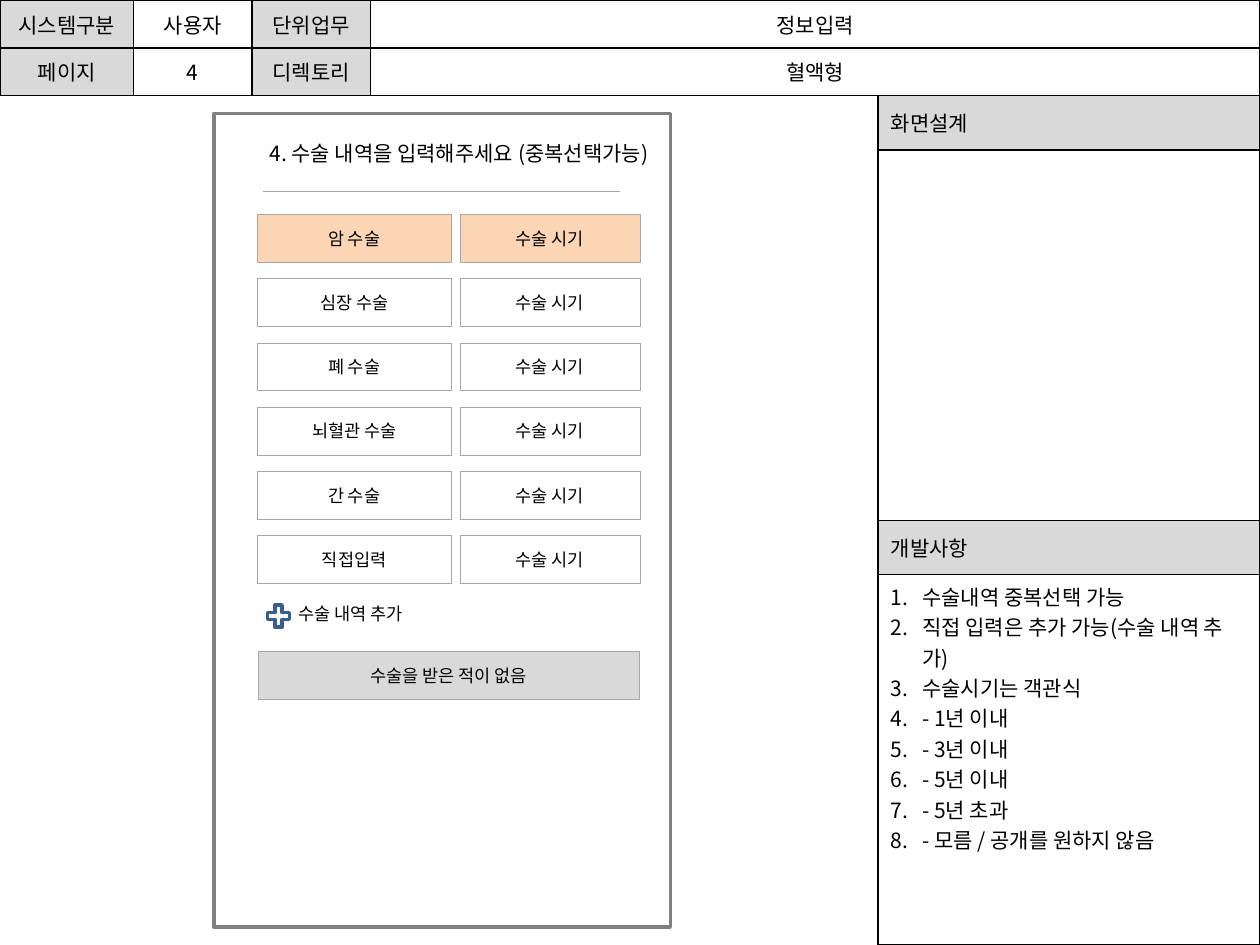
from lxml import etree
from pptx import Presentation
from pptx.dml.color import RGBColor
from pptx.enum import shapes, text
from pptx.oxml import ns
from pptx.util import Inches, Pt

FONT = "Noto Sans CJK KR"
BLACK = RGBColor(0x00, 0x00, 0x00)
WHITE = RGBColor(0xFF, 0xFF, 0xFF)
LABEL_GRAY = RGBColor(0xD9, 0xD9, 0xD9)
LINE_GRAY = RGBColor(0xA6, 0xA6, 0xA6)
FRAME_GRAY = RGBColor(0x80, 0x80, 0x80)
SELECTED = RGBColor(0xFC, 0xD5, 0xB5)
PLUS_BLUE = RGBColor(0x3A, 0x5F, 0x8C)
CENTER = text.PP_ALIGN.CENTER
MIDDLE = text.MSO_ANCHOR.MIDDLE

HEADER = [
    ["시스템구분", "사용자", "단위업무", "정보입력"],
    ["페이지", "4", "디렉토리", "혈액형"],
]
HEADER_COLUMNS = [1.06, 0.94, 0.94, 7.06]
HEADER_ROWS = [0.38, 0.38]

DESIGN_LABEL = "화면설계"
DEV_LABEL = "개발사항"
DEV_NOTES = [
    "수술내역 중복선택 가능",
    "직접 입력은 추가 가능(수술 내역 추가)",
    "수술시기는 객관식",
    "- 1년 이내",
    "- 3년 이내",
    "- 5년 이내",
    "- 5년 초과",
    "- 모름 / 공개를 원하지 않음",
]
SIDE_ROWS = [0.43, 2.94, 0.43, 2.94]

QUESTION = "4. 수술 내역을 입력해주세요 (중복선택가능)"
SURGERIES = ["암 수술", "심장 수술", "폐 수술", "뇌혈관 수술", "간 수술", "직접입력"]
SELECTED_SURGERY = "암 수술"
TIMING = "수술 시기"
ADD_MORE = "수술 내역 추가"
NO_SURGERY = "수술을 받은 적이 없음"

BUTTON_TOP, BUTTON_STEP, BUTTON_HEIGHT = 1.7, 0.51, 0.38


def add_text(paragraph, words, size, align=None):
    paragraph.alignment = align
    run = paragraph.add_run()
    run.text = words
    run.font.size = Pt(size)
    run.font.name = FONT
    run.font.color.rgb = BLACK
    east_asian = etree.SubElement(run.font._element, ns.qn("a:ea"))
    east_asian.set("typeface", FONT)


def number(paragraph):
    """Make the paragraph an item of an automatically numbered list."""
    properties = paragraph._p.get_or_add_pPr()
    properties.set("marL", str(Inches(0.25)))
    properties.set("indent", str(Inches(-0.25)))
    etree.SubElement(properties, ns.qn("a:buFont")).set("typeface", FONT)
    etree.SubElement(properties, ns.qn("a:buAutoNum")).set("type", "arabicPeriod")


def format_cell(cell, is_label):
    """Draw black borders, then fill label cells with gray."""
    properties = cell._tc.get_or_add_tcPr()
    for side in ("lnL", "lnR", "lnT", "lnB"):
        border = etree.SubElement(properties, ns.qn(f"a:{side}"), w=str(Pt(1)))
        solid = etree.SubElement(border, ns.qn("a:solidFill"))
        etree.SubElement(solid, ns.qn("a:srgbClr")).set("val", str(BLACK))
    if is_label:
        cell.fill.solid()
        cell.fill.fore_color.rgb = LABEL_GRAY
    else:
        cell.fill.background()


def add_grid(slide, left, top, columns, rows):
    grid = slide.shapes.add_table(
        len(rows), len(columns), Inches(left), Inches(top),
        Inches(sum(columns)), Inches(sum(rows))).table
    grid.first_row = grid.horz_banding = False
    for column, width in zip(grid.columns, columns):
        column.width = Inches(width)
    for row, height in zip(grid.rows, rows):
        row.height = Inches(height)
    return grid


def add_box(slide, left, top, width, height, fill, line, weight,
            words=None, kind=shapes.MSO_SHAPE.RECTANGLE):
    box = slide.shapes.add_shape(
        kind, Inches(left), Inches(top), Inches(width), Inches(height))
    box.shadow.inherit = False
    box.fill.solid()
    box.fill.fore_color.rgb = fill
    box.line.color.rgb = line
    box.line.width = Pt(weight)
    if words:
        box.text_frame.vertical_anchor = MIDDLE
        add_text(box.text_frame.paragraphs[0], words, 10, CENTER)


def add_button(slide, left, top, width, words, fill=WHITE):
    add_box(slide, left, top, width, BUTTON_HEIGHT, fill, LINE_GRAY, 0.25, words)


def add_caption(slide, left, top, width, height, words, size):
    frame = slide.shapes.add_textbox(
        Inches(left), Inches(top), Inches(width), Inches(height)).text_frame
    frame.word_wrap = False
    frame.auto_size = text.MSO_AUTO_SIZE.SHAPE_TO_FIT_TEXT
    add_text(frame.paragraphs[0], words, size)


def add_header(slide):
    grid = add_grid(slide, 0, 0, HEADER_COLUMNS, HEADER_ROWS)
    for r, row in enumerate(HEADER):
        for c, words in enumerate(row):
            cell = grid.cell(r, c)
            format_cell(cell, is_label=c % 2 == 0)
            cell.vertical_anchor = MIDDLE
            add_text(cell.text_frame.paragraphs[0], words, 12, CENTER)


def add_side_panel(slide):
    grid = add_grid(slide, 6.97, 0.76, [3.03], SIDE_ROWS)
    for r, label in enumerate([DESIGN_LABEL, None, DEV_LABEL, None]):
        cell = grid.cell(r, 0)
        format_cell(cell, is_label=label is not None)
        if label:
            cell.vertical_anchor = MIDDLE
            add_text(cell.text_frame.paragraphs[0], label, 12)
    notes = grid.cell(3, 0).text_frame
    for i, note in enumerate(DEV_NOTES):
        paragraph = notes.add_paragraph() if i else notes.paragraphs[0]
        number(paragraph)
        add_text(paragraph, note, 12)


def add_phone_screen(slide):
    add_box(slide, 1.7, 0.9, 3.62, 6.46, WHITE, FRAME_GRAY, 2)
    rule = slide.shapes.add_connector(
        shapes.MSO_CONNECTOR.STRAIGHT,
        Inches(2.09), Inches(1.52), Inches(4.92), Inches(1.52))
    rule.line.color.rgb = LINE_GRAY
    rule.line.width = Pt(0.75)
    etree.SubElement(rule._element.spPr, ns.qn("a:effectLst"))
    add_caption(slide, 2.04, 1.07, 3.63, 0.3, QUESTION, 12)

    for i, surgery in enumerate(SURGERIES):
        top = BUTTON_TOP + i * BUTTON_STEP
        fill = SELECTED if surgery == SELECTED_SURGERY else WHITE
        add_button(slide, 2.04, top, 1.54, surgery, fill)
        add_button(slide, 3.65, top, 1.43, TIMING, fill)

    add_caption(slide, 2.27, 4.74, 1.14, 0.27, ADD_MORE, 10)
    add_box(slide, 2.09, 4.77, 0.24, 0.24, WHITE, PLUS_BLUE, 2,
            kind=shapes.MSO_SHAPE.MATH_PLUS)
    add_button(slide, 2.05, 5.17, 3.02, NO_SURGERY, LABEL_GRAY)


def main():
    deck = Presentation()
    deck.slide_width, deck.slide_height = Inches(10), Inches(7.5)
    slide = deck.slides.add_slide(deck.slide_layouts.get_by_name("Blank"))
    add_header(slide)
    add_side_panel(slide)
    add_phone_screen(slide)
    deck.save("out.pptx")


if __name__ == "__main__":
    main()
